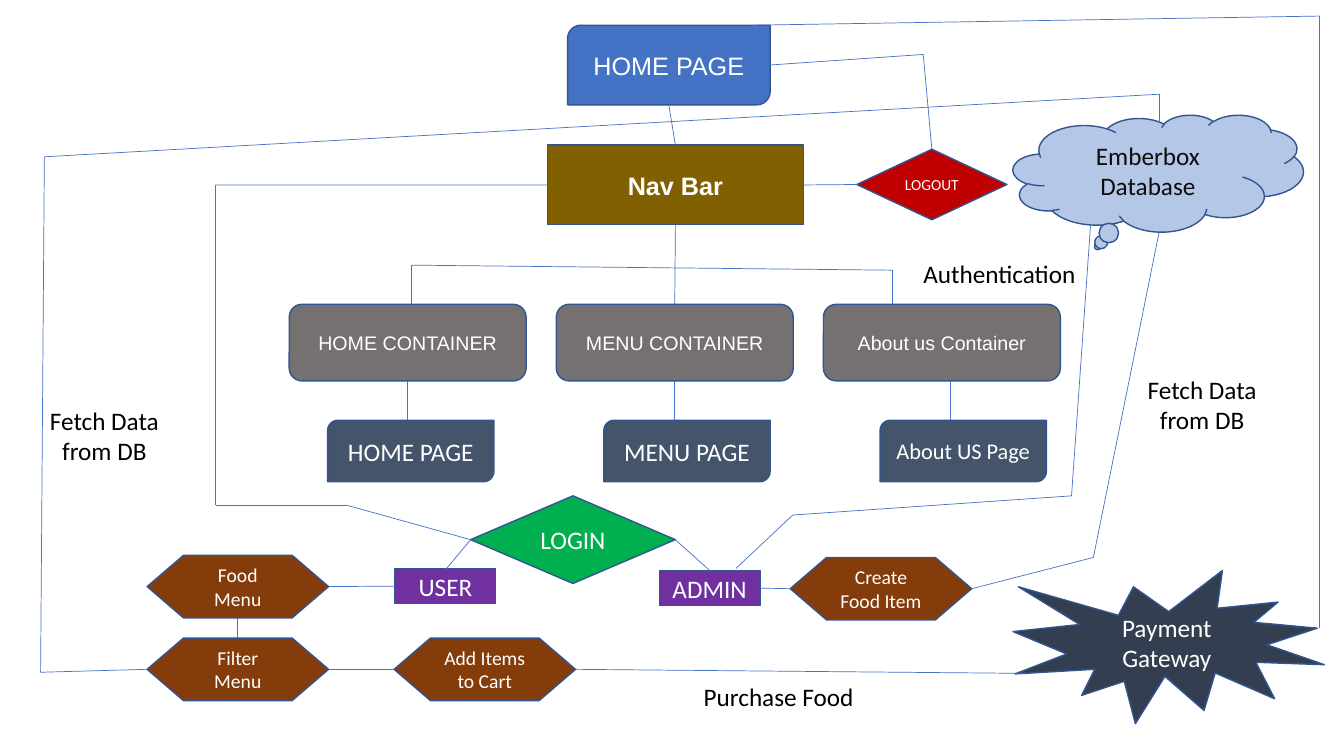
from itertools import pairwise

from lxml.etree import SubElement
from pptx import Presentation
from pptx.dml.color import RGBColor
from pptx.enum.shapes import MSO_CONNECTOR, MSO_SHAPE
from pptx.enum.text import MSO_ANCHOR, PP_ALIGN
from pptx.oxml.ns import qn
from pptx.util import Pt

SLIDE_SIZE = (960, 540)
OUTLINE, WIRE, WHITE = "325491", "4472C4", "FFFFFF"

# style: preset, fill, width, height, font, size
STYLES = {
    "home": (MSO_SHAPE.ROUND_2_DIAG_RECTANGLE, "4472C4", 144.7, 56.9, "Arial", 18),
    "nav": (MSO_SHAPE.RECTANGLE, "806000", 182.9, 56.9, "Arial", 18),
    "container": (MSO_SHAPE.ROUNDED_RECTANGLE, "767171", 169.2, 54.7, "Arial", 14),
    "page": (MSO_SHAPE.ROUND_2_DIAG_RECTANGLE, "44546A", 118.8, 43.9, "Calibri", 18),
    "login": (MSO_SHAPE.FLOWCHART_DECISION, "00B050", 146.2, 62.6, "Calibri", 18),
    "logout": (MSO_SHAPE.FLOWCHART_DECISION, "C00000", 107.3, 50.4, "Calibri", 11),
    "role": (MSO_SHAPE.RECTANGLE, "7030A0", 72, 25.2, "Calibri", 18),
    "step": (MSO_SHAPE.FLOWCHART_PREPARATION, "843C0B", 129.6, 44.6, "Calibri", 14),
    "payment": (MSO_SHAPE.EXPLOSION1, "333F50", 222.5, 109.4, "Calibri", 18),
    "cloud": (MSO_SHAPE.CLOUD_CALLOUT, "B4C7E7", 207.4, 83.5, "Calibri", 18),
}

# name: style, text, left, top
NODES = {
    "home": ("home", "HOME PAGE", 405.4, 18),
    "nav": ("nav", "Nav Bar", 391, 103.7),
    "login": ("login", "LOGIN", 336.2, 354.2),
    "logout": ("logout", "LOGOUT", 612, 106.6),
    "user": ("role", "USER", 282.2, 406.1),
    "admin": ("role", "ADMIN", 470.9, 407.5),
    "food": ("step", "Food Menu", 105.1, 396.7),
    "filter": ("step", "Filter Menu", 105.1, 455.8),
    "cart": ("step", "Add Items to Cart", 281.5, 455.8),
    "create": ("step", "Create Food Item", 564.5, 398.2),
    "payment": ("payment", "Payment Gateway", 723.6, 407.5),
    "cloud": ("cloud", "Emberbox Database", 723.6, 82.1),
}

# row: texts, left, top, pitch
ROWS = {
    "container": (["HOME CONTAINER", "MENU CONTAINER", "About us Container"],
                  206.6, 217.4, 190.8),
    "page": (["HOME PAGE", "MENU PAGE", "About US Page"], 234, 300.2, 197.3),
}
for style, (texts, row_left, row_top, pitch) in ROWS.items():
    for column, words in enumerate(texts):
        NODES[f"{style}{column}"] = (style, words, row_left + column * pitch, row_top)

TEXT_SIZES = {"About US Page": 16}
TEXT_COLORS = {"cloud": "0D0D0D"}

# text, left, top, width, height
LABELS = [
    ("Purchase Food", 316.1, 483.1, 480.2, 28.8),
    ("Fetch Data from DB", 17.3, 285.8, 114.5, 51.1),
    ("Fetch Data from DB", 801.4, 263.5, 114.5, 51.1),
    ("Authentication", 648.7, 180.7, 130.3, 28.8),
]

# each stop is a point or a (node, side) pair
ROUTES = [
    [("home", "bottom"), ("nav", "top")],
    [("nav", "bottom"), ("container1", "top")],
    [(293.8, 217.4), (293.8, 189.4), (637.2, 193), (637.2, 217.4)],
    [("container0", "bottom"), (291.2, 300.2)],
    [("container1", "bottom"), (482, 300.2)],
    [(679, 272.1), (679, 300.2)],
    [("nav", "left"), (154, 132.2), (154, 360.7), (247, 360.7), ("login", "left"),
     (318.2, 407)],
    [("login", "right"), ("admin", "top")],
    [("user", "left"), ("food", "right")],
    [("food", "bottom"), ("filter", "top")],
    [("filter", "right"), ("cart", "left")],
    [("cart", "right"), (732.2, 481)],
    [(538, 18), (942.5, 11.5), (942.5, 448.6)],
    [(828, 86.4), (828, 67.3), (31.7, 112), (29, 480.2), ("filter", "left")],
    [("admin", "right"), ("create", "left")],
    [(828, 165.6), (781, 398.2), ("create", "right")],
    [(525.6, 406.1), (566.3, 367.9), (765.4, 354.2), (779, 160.6)],
    [("nav", "right"), ("logout", "left")],
    [("logout", "top"), (659.5, 38.9), ("home", "right")],
]

SIDES = {"top": (0.5, 0), "left": (0, 0.5), "bottom": (0.5, 1), "right": (1, 0.5)}
SITES = ["top", "left", "bottom", "right"]
DIAGONAL_SITES = ["right", "bottom", "left", "top"]


def color(hex_code):
    """Turn a hex string into a colour."""
    return RGBColor.from_string(hex_code)


def write(box, words, font, size, ink, bold=False):
    """Put one centred run of text into a shape."""
    box.text_frame.word_wrap = True
    para = box.text_frame.paragraphs[0]
    para.alignment = PP_ALIGN.CENTER
    span = para.add_run()
    span.text = words
    span.font.name, span.font.size, span.font.bold = font, Pt(size), bold
    span.font.color.rgb = color(ink)


def add_node(page, name):
    """Draw one named node of the flow."""
    style, words, left, top = NODES[name]
    preset, fill, width, height, font, size = STYLES[style]
    box = page.shapes.add_shape(preset, Pt(left), Pt(top), Pt(width), Pt(height))
    box.shadow.inherit = False
    box.fill.solid()
    box.fill.fore_color.rgb = color(fill)
    box.line.color.rgb = color(OUTLINE)
    box.line.width = Pt(1)
    box.text_frame.vertical_anchor = MSO_ANCHOR.MIDDLE
    write(box, words, font, TEXT_SIZES.get(words, size),
          TEXT_COLORS.get(style, WHITE), style == "nav")
    return box


def locate(stop, boxes):
    """Give the position of a stop on a route."""
    if stop[0] not in boxes:
        return Pt(stop[0]), Pt(stop[1])
    box, (across, down) = boxes[stop[0]], SIDES[stop[1]]
    return int(box.left + across * box.width), int(box.top + down * box.height)


def site(stop):
    """Give the connection site number for a (node, side) stop."""
    preset = STYLES[NODES[stop[0]][0]][0]
    diagonal = preset == MSO_SHAPE.ROUND_2_DIAG_RECTANGLE
    return (DIAGONAL_SITES if diagonal else SITES).index(stop[1])


def add_wire(page, start, end, boxes):
    """Draw one straight connector, attached to any nodes it meets."""
    first, last = locate(start, boxes), locate(end, boxes)
    wire = page.shapes.add_connector(MSO_CONNECTOR.STRAIGHT, *first, *last)
    if start[0] in boxes:
        wire.begin_connect(boxes[start[0]], site(start))
    if end[0] in boxes:
        wire.end_connect(boxes[end[0]], site(end))
    wire.begin_x, wire.begin_y = first
    wire.end_x, wire.end_y = last
    wire.line.color.rgb = color(WIRE)
    wire.line.width = Pt(0.5)
    SubElement(wire.line._get_or_add_ln().getparent(), qn("a:effectLst"))


deck = Presentation()
deck.slide_width, deck.slide_height = map(Pt, SLIDE_SIZE)
page = deck.slides.add_slide(deck.slide_layouts.get_by_name("Blank"))

boxes = {name: add_node(page, name) for name in NODES}
for route in ROUTES:
    for start, end in pairwise(route):
        add_wire(page, start, end, boxes)
for words, *frame in LABELS:
    write(page.shapes.add_textbox(*map(Pt, frame)), words, "Calibri", 18, "000000")

deck.save("out.pptx")
